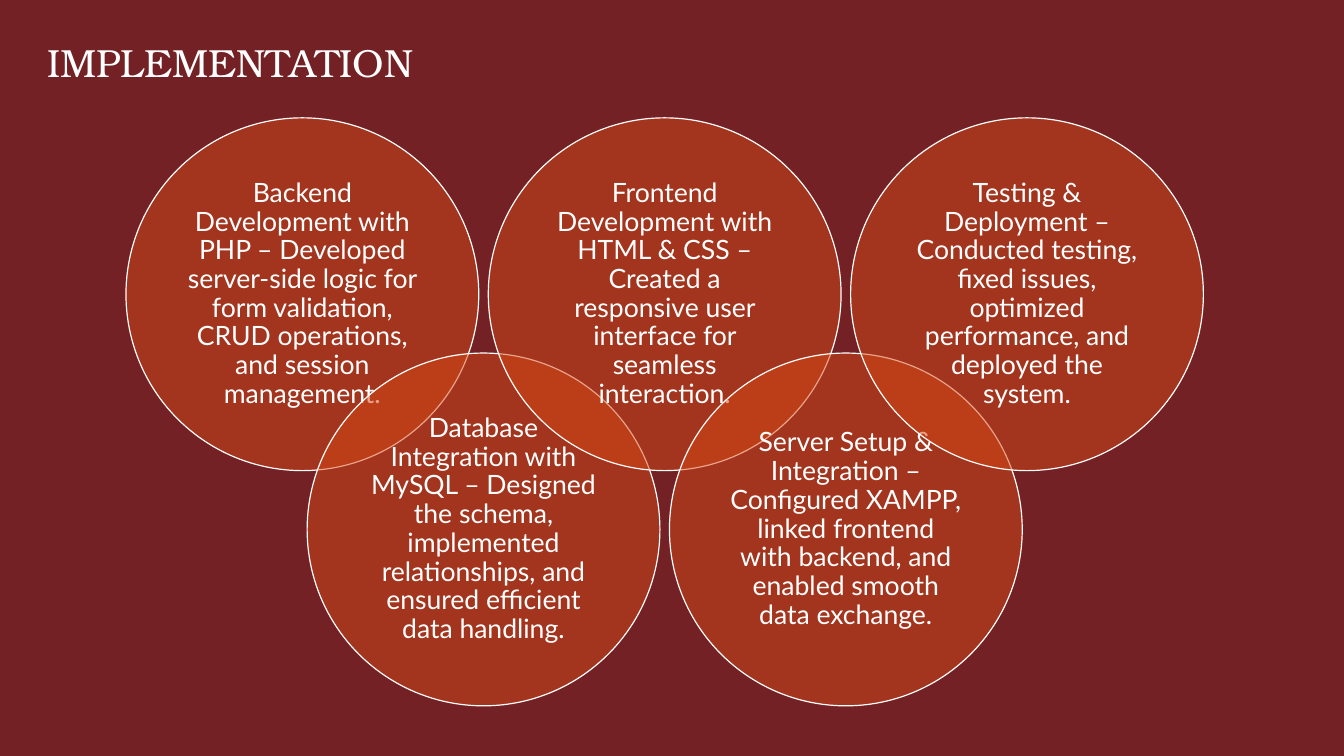
from lxml.etree import SubElement
from pptx import Presentation
from pptx.dml.color import RGBColor
from pptx.enum.shapes import MSO_SHAPE
from pptx.enum.text import MSO_ANCHOR, PP_ALIGN
from pptx.oxml.ns import qn
from pptx.util import Pt

TITLE = "IMPLEMENTATION"
STAGES = [
    "Backend Development with PHP – Developed server-side logic for form validation, "
    "CRUD operations, and session management.",
    "Database Integration with MySQL – Designed the schema, implemented relationships, "
    "and ensured efficient data handling.",
    "Frontend Development with HTML & CSS – Created a responsive user interface "
    "for seamless interaction.",
    "Server Setup & Integration – Configured XAMPP, linked frontend with backend, "
    "and enabled smooth data exchange.",
    "Testing & Deployment – Conducted testing, fixed issues, optimized performance, "
    "and deployed the system.",
]
COLORS = {name: RGBColor.from_string(value) for name, value in {
    "maroon": "732124", "orange": "D34817", "white": "FFFFFF"}.items()}
LEFT, TOP, DIAMETER = 90, 84.2, 252
STEP_X, STEP_Y = 129.4, 168
INSET = 5.7


def add_filled(s, kind, box, fill, line):
    sp = s.shapes.add_shape(kind, *map(Pt, box))
    sp.shadow.inherit = False
    sp.fill.solid()
    sp.fill.fore_color.rgb = COLORS[fill]
    sp.line.color.rgb = COLORS[line]
    sp.line.width = Pt(0.85)
    return sp


def write(tf, text, font, size):
    tf.word_wrap = True
    p = tf.paragraphs[0]
    p.text = text
    p.font.name = font
    p.font.size = Pt(size)
    p.font.color.rgb = COLORS["white"]
    return p


def add_stage(s, i, text):
    box = (LEFT + i * STEP_X, TOP + i % 2 * STEP_Y, DIAMETER, DIAMETER)
    sp = add_filled(s, MSO_SHAPE.OVAL, box, "orange", "white")
    color = sp.fill._xPr.find(qn("a:solidFill"))[0]
    SubElement(color, qn("a:alpha"), val="50000")
    tf = sp.text_frame
    tf.margin_left = tf.margin_right = tf.margin_top = tf.margin_bottom = Pt(INSET)
    tf.vertical_anchor = MSO_ANCHOR.MIDDLE
    p = write(tf, text, "Lato", 19)
    p.alignment = PP_ALIGN.CENTER
    p.line_spacing = 0.9


def main():
    prs = Presentation()
    prs.slide_width, prs.slide_height = Pt(960), Pt(540)
    s = prs.slides.add_slide(prs.slide_layouts[6])
    s.background.fill.solid()
    s.background.fill.fore_color.rgb = COLORS["maroon"]
    add_filled(s, MSO_SHAPE.RECTANGLE, (12.2, 7.2, 929.5, 509.8), "maroon", "maroon")
    title = s.shapes.add_textbox(Pt(26.6), Pt(23.8), Pt(711.4), Pt(41))
    write(title.text_frame, TITLE, "TeX Gyre Bonum", 28)
    for i, text in enumerate(STAGES):
        add_stage(s, i, text)
    prs.save("out.pptx")


if __name__ == "__main__":
    main()
